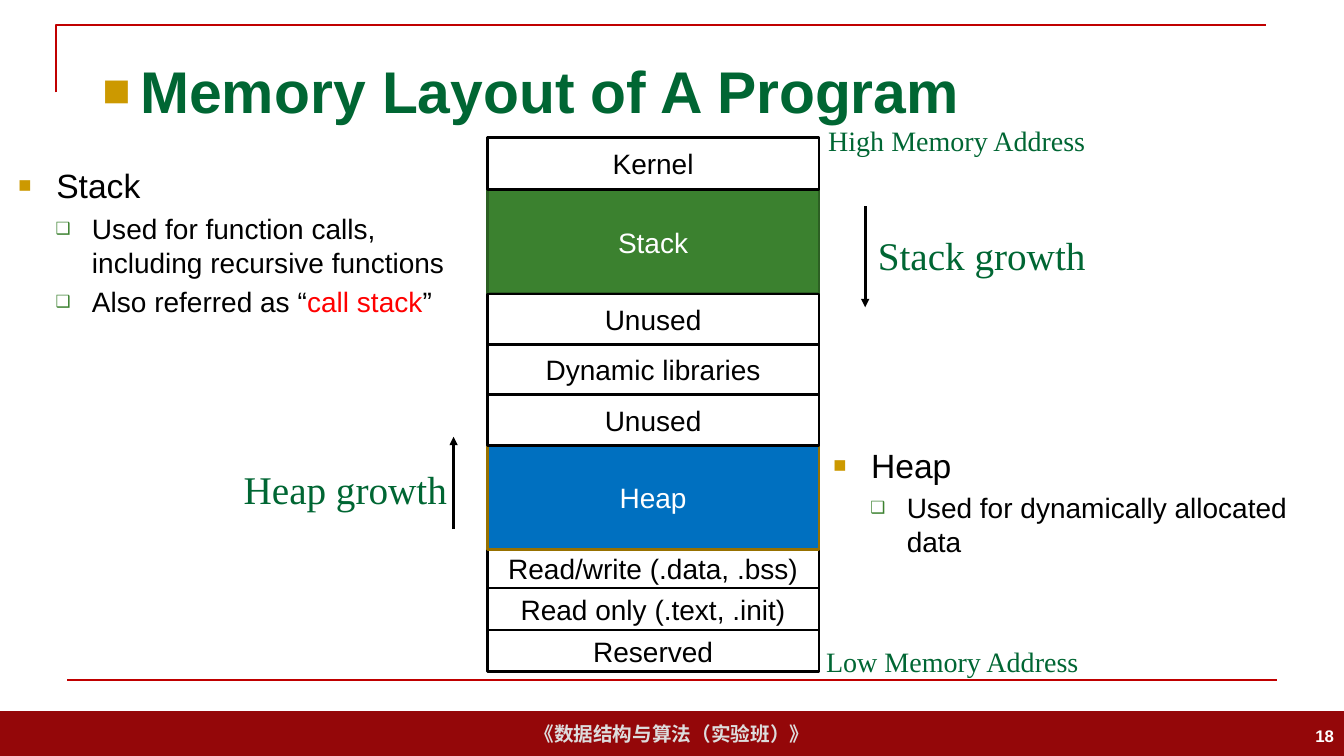
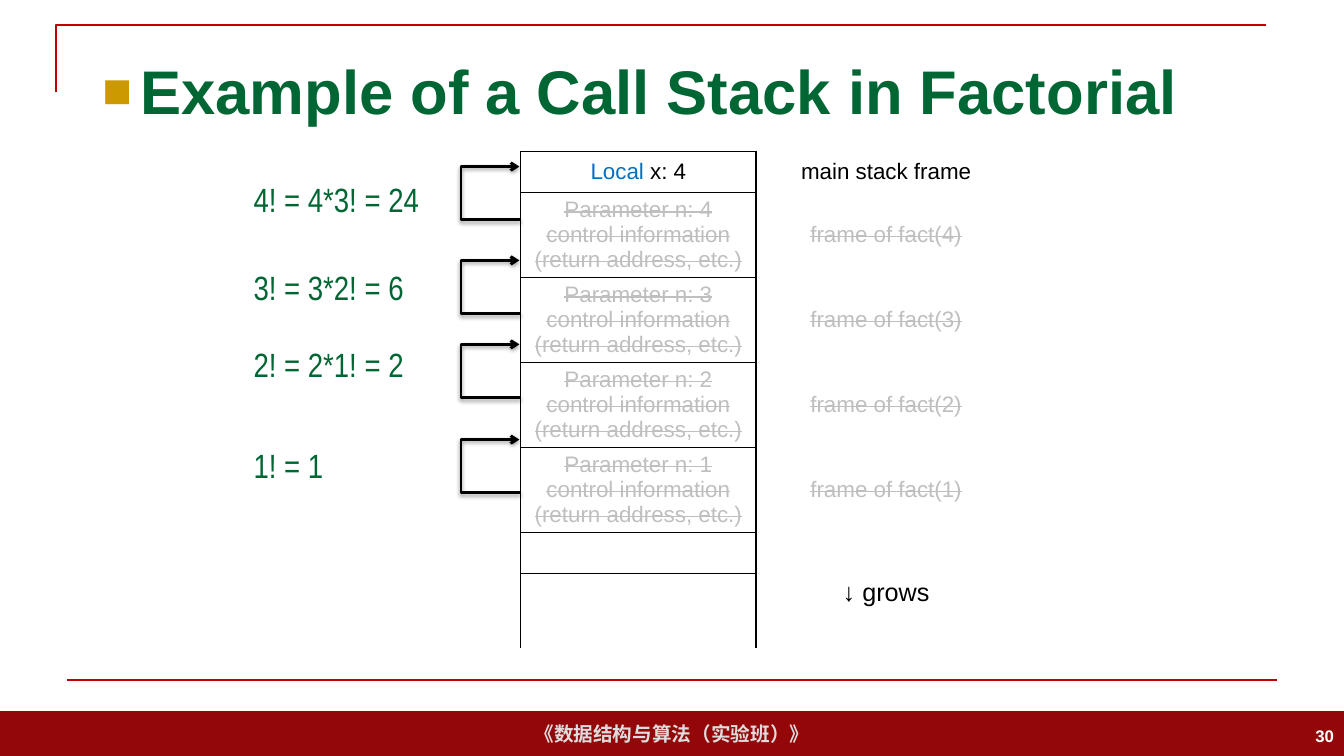
from dataclasses import dataclass

from lxml import etree
from pptx import Presentation
from pptx.dml.color import RGBColor
from pptx.enum.shapes import MSO_CONNECTOR, MSO_SHAPE
from pptx.enum.text import MSO_ANCHOR, MSO_AUTO_SIZE, PP_ALIGN
from pptx.oxml.ns import qn
from pptx.util import Pt

STRAIGHT, ELBOW = MSO_CONNECTOR.STRAIGHT, MSO_CONNECTOR.ELBOW
RECTANGLE = MSO_SHAPE.RECTANGLE
LEFT, CENTER, RIGHT = PP_ALIGN.LEFT, PP_ALIGN.CENTER, PP_ALIGN.RIGHT
TOP, MIDDLE = MSO_ANCHOR.TOP, MSO_ANCHOR.MIDDLE
FIXED, GROW = MSO_AUTO_SIZE.NONE, MSO_AUTO_SIZE.SHAPE_TO_FIT_TEXT

BLACK = RGBColor(0, 0, 0)
WHITE = RGBColor(255, 255, 255)
DEEP_GREEN = RGBColor(0x00, 0x66, 0x33)
LEAF_GREEN = RGBColor(0x3B, 0x81, 0x2F)
LEAF_EDGE = RGBColor(0x2C, 0x5F, 0x23)
BLUE = RGBColor(0x00, 0x70, 0xC0)
GOLD = RGBColor(0xCC, 0x99, 0x00)
GOLD_EDGE = RGBColor(0x97, 0x71, 0x00)
RED = RGBColor(0xFF, 0, 0)
RULE_RED = RGBColor(0xC0, 0, 0)
BAND_RED = RGBColor(0x94, 0x07, 0x09)
BAND_TEXT = RGBColor(0xDD, 0xDD, 0xDD)
GREY = RGBColor(0xBF, 0xBF, 0xBF)

SANS, NARROW, SERIF = "Arial", "Arial Narrow", "Times New Roman"
WIDTH, HEIGHT = 960, 540
NO_STYLE = "{2D5ABB26-0587-4C30-8999-92F81FD0307C}"


@dataclass(frozen=True)
class Segment:
    label: str
    height: float
    fill: RGBColor = WHITE
    edge: RGBColor = BLACK
    ink: RGBColor = BLACK
    at_back: bool = False


@dataclass(frozen=True)
class Bullet:
    char: str
    color: RGBColor
    percent: int
    margin: float
    hanging: float


@dataclass(frozen=True)
class Note:
    text: str
    left: float
    top: float
    width: float
    height: float
    size: float


@dataclass(frozen=True)
class Return:
    result: str
    label_top: float
    arrow_top: float


TITLE_BULLET = Bullet("■", GOLD, 80, 27, 27)
LIST_BULLETS = (Bullet("■", GOLD, 65, 27, 27), Bullet("❑", LEAF_GREEN, 60, 52.5, 26))

# Memory from high to low address
SEGMENTS = (
    Segment("Kernel", 37.5),
    Segment("Stack", 74.5, LEAF_GREEN, LEAF_EDGE, WHITE, at_back=True),
    Segment("Unused", 36),
    Segment("Dynamic libraries", 36),
    Segment("Unused", 36),
    Segment("Heap", 74.5, BLUE, GOLD_EDGE, WHITE),
    Segment("Read/write (.data, .bss)", 27.5),
    Segment("Read only (.text, .init)", 30),
    Segment("Reserved", 30),
)
MEMORY_NOTES = (
    Note("Stack growth", 620, 162, 180, 41, 28),
    Note("Heap growth", 167, 329, 180, 41, 28),
    Note("Low Memory Address", 583, 456.5, 224, 31.5, 20),
    Note("High Memory Address", 584.5, 85, 231, 31.5, 20),
)
RETURNS = (
    Return("4! = 4*3! = 24", 124, 119),
    Return("3! = 3*2! = 6", 187, 186),
    Return("2! = 2*1! = 2", 242, 246),
    Return("1! = 1", 314, 314),
)


def write(paragraph, text: str, *, size: float, color: RGBColor = BLACK, font: str = SANS,
          bold: bool = False, strike: bool = False, align=LEFT) -> None:
    """Add text to a paragraph; a newline becomes a line break."""
    paragraph.alignment = align
    for number, line in enumerate(text.split("\n")):
        if number:
            paragraph.add_line_break()
        run = paragraph.add_run()
        run.text = line
        run.font.name, run.font.size, run.font.bold = font, Pt(size), bold
        run.font.color.rgb = color
        if strike:
            run._r.get_or_add_rPr().set("strike", "sngStrike")


def child(parent, tag: str, **attributes):
    return etree.SubElement(parent, qn(tag), {k: str(v) for k, v in attributes.items()})


def place(shape, left: float, top: float, width: float, height: float) -> None:
    shape.left, shape.top, shape.width, shape.height = map(Pt, (left, top, width, height))


def set_bullet(paragraph, bullet: Bullet) -> None:
    props = paragraph._p.get_or_add_pPr()
    props.set("marL", str(Pt(bullet.margin)))
    props.set("indent", str(-Pt(bullet.hanging)))
    child(child(props, "a:buClr"), "a:srgbClr", val=bullet.color)
    child(props, "a:buSzPct", val=bullet.percent * 1000)
    child(props, "a:buFont", typeface=SANS)
    child(props, "a:buChar", char=bullet.char)


def add_text(slide, text: str, left: float, top: float, width: float, height: float,
             *, anchor=TOP, fit=GROW, **style) -> None:
    box = slide.shapes.add_textbox(Pt(left), Pt(top), Pt(width), Pt(height))
    frame = box.text_frame
    frame.word_wrap, frame.auto_size, frame.vertical_anchor = True, fit, anchor
    write(frame.paragraphs[0], text, **style)


def add_box(slide, text: str, left: float, top: float, width: float, height: float,
            *, fill: RGBColor, edge: RGBColor | None = None, wrap: bool = True, **style):
    box = slide.shapes.add_shape(RECTANGLE, Pt(left), Pt(top), Pt(width), Pt(height))
    box.shadow.inherit = False
    box.fill.solid()
    box.fill.fore_color.rgb = fill
    if edge is None:
        box.line.fill.background()
    else:
        box.line.color.rgb, box.line.width = edge, Pt(2)
    frame = box.text_frame
    frame.word_wrap, frame.vertical_anchor = wrap, MIDDLE
    write(frame.paragraphs[0], text, align=CENTER, **style)
    return box


def add_line(slide, x1: float, y1: float, x2: float, y2: float, *, kind=STRAIGHT,
             color: RGBColor = BLACK, width: float = 2, head: str = ""):
    line = slide.shapes.add_connector(kind, Pt(x1), Pt(y1), Pt(x2), Pt(y2))
    line.line.color.rgb, line.line.width = color, Pt(width)
    if head:
        child(line.element.xpath(".//a:ln")[0], "a:tailEnd", type=head)
    child(line.element.spPr, "a:effectLst")
    return line


def build_master(prs, slide) -> None:
    """Draw the frame and footer band, then move them to the master."""
    band = add_box(slide, "《数据结构与算法（实验班）》", 0, 508, WIDTH, 32, fill=BAND_RED,
                   wrap=False, size=14, color=BAND_TEXT, bold=True)
    builder = slide.shapes.build_freeform(Pt(40), Pt(66))
    builder.add_line_segments([(Pt(40), Pt(18)), (Pt(904), Pt(18))], close=False)
    corner = builder.convert_to_shape()
    corner.shadow.inherit = False
    corner.fill.background()
    corner.line.color.rgb, corner.line.width = RULE_RED, Pt(1.5)
    rule = add_line(slide, 48, 486, 912, 486, color=RULE_RED, width=1.5)
    for offset, part in enumerate((band, corner, rule)):
        part.element.xpath(".//p:cNvPr")[0].set("id", str(100 + offset))
        prs.slide_master.shapes.element.insert(2 + offset, part.element)


def add_heading(slide, text: str, size: float, number: int) -> None:
    title = slide.shapes.title
    place(title, 66, 29, 828, 71)
    frame = title.text_frame
    frame.auto_size, frame.vertical_anchor = FIXED, MIDDLE
    write(frame.paragraphs[0], text, size=size, color=DEEP_GREEN, bold=True)
    set_bullet(frame.paragraphs[0], TITLE_BULLET)
    add_text(slide, str(number), 744, 511, 216, 29, anchor=MIDDLE, fit=FIXED,
             size=12, color=WHITE, bold=True, align=RIGHT)


def fill_list(body, heading: str, items: list[list[tuple[str, RGBColor]]]) -> None:
    frame = body.text_frame
    frame.auto_size = FIXED
    for index, pieces in enumerate([[(heading, BLACK)], *items]):
        paragraph = frame.add_paragraph() if index else frame.paragraphs[0]
        level = min(index, 1)
        paragraph.level = level
        for text, color in pieces:
            write(paragraph, text, size=20 if level else 24, color=color)
        set_bullet(paragraph, LIST_BULLETS[level])


def build_memory(slide) -> None:
    add_heading(slide, "Memory Layout of A Program", 42, 18)
    # Explanations
    _, stack_list, heap_list = slide.placeholders
    place(stack_list, 6, 114, 371.5, 192)
    fill_list(stack_list, "Stack", [
        [("Used for function calls,\nincluding recursive functions", BLACK)],
        [("Also referred as “", BLACK), ("call stack", RED), ("”", BLACK)],
    ])
    place(heap_list, 588, 314, 371.5, 106)
    fill_list(heap_list, "Heap", [[("Used for dynamically allocated data", BLACK)]])
    # Memory column, drawn from the low end up
    placed, top = [], 98.0
    for segment in SEGMENTS:
        placed.append((segment, top))
        top += segment.height
    for segment, top in sorted(reversed(placed), key=lambda item: not item[0].at_back):
        add_box(slide, segment.label, 348, top, 237, segment.height, fill=segment.fill,
                edge=segment.edge, size=20, color=segment.ink)
    # Growth directions and addresses
    add_line(slide, 618, 147.5, 618, 219.5, head="triangle")
    add_line(slide, 324, 378, 324, 312, head="triangle")
    for note in MEMORY_NOTES:
        add_text(slide, note.text, note.left, note.top, note.width, note.height,
                 size=note.size, color=DEEP_GREEN, font=SERIF)


def format_cell(cell, sides: str, anchor=MIDDLE) -> None:
    """Border the named sides (L, R, T, B) and clear the fill."""
    props = cell._tc.get_or_add_tcPr()
    for side in sides:
        border = child(props, f"a:ln{side}", w=Pt(1))
        child(child(border, "a:solidFill"), "a:srgbClr", val=BLACK)
    cell.fill.background()
    cell.vertical_anchor = anchor


def add_stack_table(slide) -> None:
    heights = [29.5] + [60.7] * 4 + [29.5, 53.5]
    holder = slide.shapes.add_table(len(heights), 2, Pt(372), Pt(108), Pt(354), Pt(sum(heights)))
    holder.element.xpath(".//a:tableStyleId")[0].text = NO_STYLE
    table = holder.table
    table.first_row = table.horz_banding = False
    for column, width in zip(table.columns, (168, 186)):
        column.width = Pt(width)
    last = len(heights) - 1
    borders = ["LRTB"] * 5 + ["LRT", "LR"]
    for index, height in enumerate(heights):
        table.rows[index].height = Pt(height)
        format_cell(table.cell(index, 0), borders[index])
        format_cell(table.cell(index, 1), "L", TOP if index == last else MIDDLE)

    def first_line(row: int, column: int):
        return table.cell(row, column).text_frame.paragraphs[0]

    # Live frame
    write(first_line(0, 0), "Local", size=16, color=BLUE, align=CENTER)
    write(first_line(0, 0), " x: 4", size=16, align=CENTER)
    write(first_line(0, 1), "main stack frame", size=16, align=CENTER)
    # Released frames
    released = dict(size=16, color=GREY, strike=True, align=CENTER)
    for row in range(1, 5):
        n = 5 - row
        write(first_line(row, 0), f"Parameter n: {n}", **released)
        for line in ("control information", "(return address, etc.)"):
            write(table.cell(row, 0).text_frame.add_paragraph(), line, **released)
        write(first_line(row, 1), f"frame of fact({n})", **released)
    write(first_line(last, 1), "↓ grows", size=18, align=CENTER)


def add_return_arrow(slide, top: float) -> None:
    """Elbow that leaves the stack, turns 43 pt to its left and comes back."""
    arrow = add_line(slide, 371, top, 372, top + 38, kind=ELBOW, head="arrow")
    arrow.element.xpath(".//a:xfrm")[0].set("rot", "10800000")
    guides = arrow.element.xpath(".//a:avLst")[0]
    child(guides, "a:gd", name="adj1", fmla="val 4300000")
    shadow = child(arrow.element.xpath(".//a:effectLst")[0], "a:outerShdw",
                   blurRad=Pt(3.1), dist=Pt(1.6), dir=5400000, rotWithShape=0)
    child(child(shadow, "a:srgbClr", val=BLACK), "a:alpha", val=38000)


def build_call_stack(slide) -> None:
    add_heading(slide, "Example of a Call Stack in Factorial", 44, 30)
    add_stack_table(slide)
    for step in RETURNS:
        add_text(slide, step.result, 174, step.label_top, 147.5, 36,
                 size=24, color=DEEP_GREEN, font=NARROW)
        add_return_arrow(slide, step.arrow_top)


def main() -> None:
    prs = Presentation()
    prs.slide_width, prs.slide_height = Pt(WIDTH), Pt(HEIGHT)
    two_content, title_only = prs.slide_layouts[3], prs.slide_layouts[5]
    memory = prs.slides.add_slide(two_content)
    build_master(prs, memory)
    build_memory(memory)
    build_call_stack(prs.slides.add_slide(title_only))
    prs.save("out.pptx")


if __name__ == "__main__":
    main()
